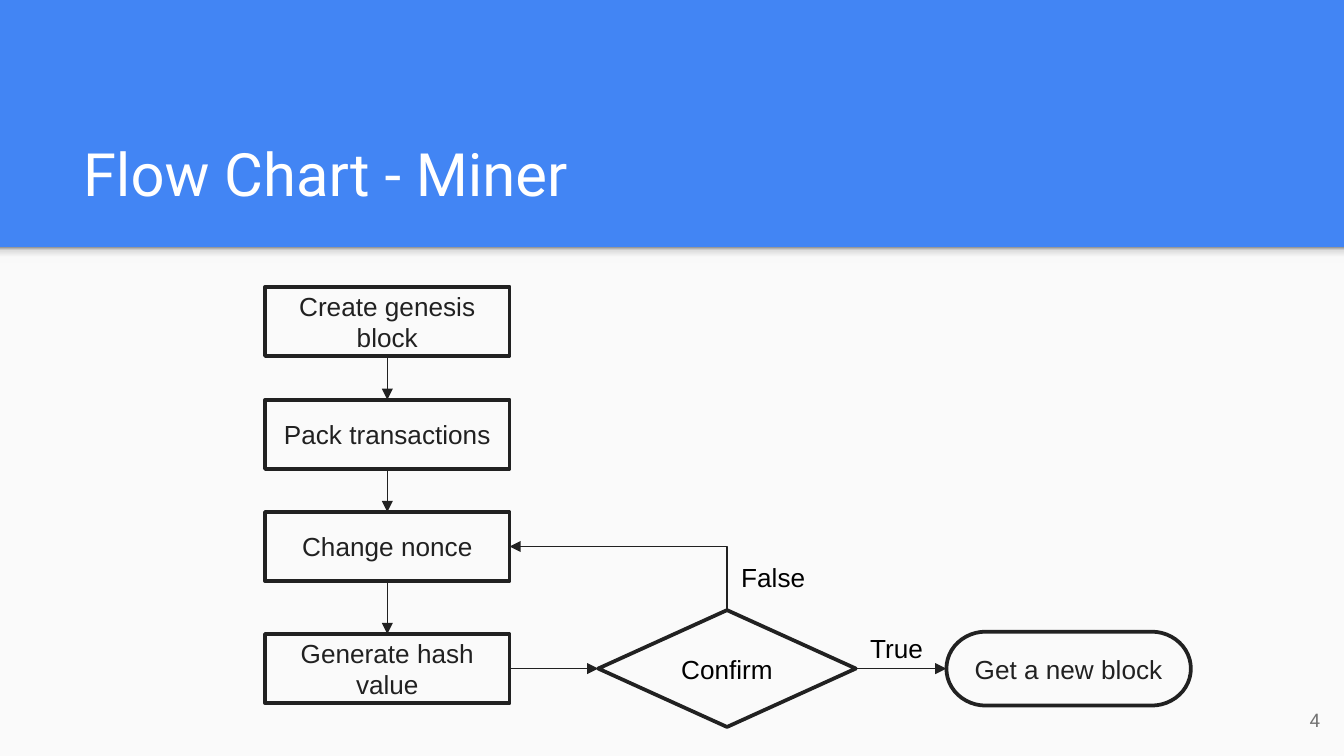
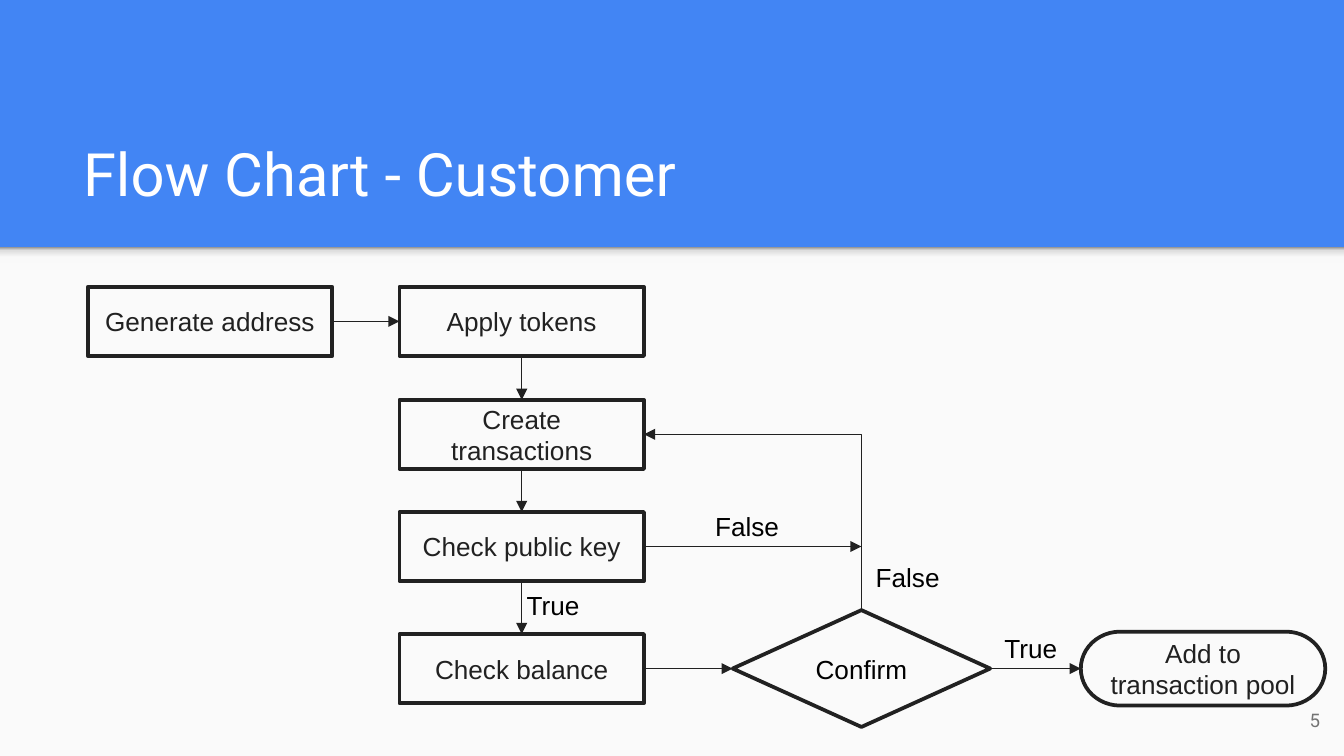
import lxml.etree
import pptx
import pptx.dml.color
import pptx.enum.shapes
import pptx.enum.text
import pptx.oxml.ns
import pptx.util

Pt = pptx.util.Pt
qn = pptx.oxml.ns.qn
PRESETS = pptx.enum.shapes.MSO_SHAPE
CONNECTORS = pptx.enum.shapes.MSO_CONNECTOR
ANCHORS = pptx.enum.text.MSO_ANCHOR
ALIGNMENTS = pptx.enum.text.PP_ALIGN

COLORS = {
    "blue": "4285F4",
    "paper": "FAFAFA",
    "ink": "212121",
    "black": "000000",
    "white": "FFFFFF",
    "gray": "737373",
}
SHADOW_STOPS = [(0, "F9F9F9"), (36, "F9F9F9"), (80, "DEDEDE"), (100, "999999")]

FLOWS = [
    {
        "title": "Flow Chart - Miner",
        "number": "4",
        "column": 142,
        "steps": ["Create genesis block", "Pack transactions", "Change nonce", "Generate hash value"],
        "entry": None,
        "result": "Get a new block",
        "retry_row": 2,
        "reject_row": None,
        "labels": [("True", 317, 335), ("False", 248, 297)],
    },
    {
        "title": "Flow Chart - Customer",
        "number": "5",
        "column": 214,
        "steps": ["Apply tokens", "Create transactions", "Check public key", "Check balance"],
        "entry": "Generate address",
        "result": "Add to transaction pool",
        "retry_row": 1,
        "reject_row": 2,
        "labels": [("True", 317, 335), ("False", 248, 297), ("False", 162, 270), ("True", 61, 312.5)],
    },
]

SLIDE_WIDTH, SLIDE_HEIGHT = 720, 405
PANEL_TOP = 132.5
ROW_TOPS = [153.7, 214.2, 274.3, 339.7]
STEP_SIZE = (131, 37)
DECISION_SIZE = (138, 62.6)
RESULT_SIZE = (131, 39.6)
ENTRY_OFFSET, DECISION_OFFSET, RESULT_OFFSET = -167, 178.5, 365
LABEL_SIZE = (54, 24.2)
TOP, LEFT, BOTTOM, RIGHT = range(4)

TEXT_FORMATS = {
    "title": {
        "frame": {"vertical_anchor": ANCHORS.BOTTOM, "margin_top": Pt(7.2), "margin_bottom": Pt(7.2)},
        "paragraph": {"alignment": ALIGNMENTS.LEFT},
        "font": {"size": Pt(32), "name": "Roboto"},
        "color": "white",
    },
    "number": {
        "frame": {"vertical_anchor": ANCHORS.MIDDLE, "margin_top": Pt(7.2), "margin_bottom": Pt(7.2)},
        "paragraph": {"alignment": ALIGNMENTS.RIGHT},
        "font": {"size": Pt(10), "name": "Roboto"},
        "color": "gray",
    },
    "step": {
        "frame": {"vertical_anchor": ANCHORS.MIDDLE},
        "paragraph": {"alignment": ALIGNMENTS.CENTER},
        "font": {"size": Pt(14), "name": "Arial"},
        "color": "ink",
    },
    "decision": {
        "frame": {"vertical_anchor": ANCHORS.MIDDLE},
        "paragraph": {"alignment": ALIGNMENTS.CENTER},
        "font": {"size": Pt(14), "name": "Arial"},
        "color": "black",
    },
    "label": {
        "frame": {"vertical_anchor": ANCHORS.TOP, "auto_size": pptx.enum.text.MSO_AUTO_SIZE.SHAPE_TO_FIT_TEXT},
        "paragraph": {"alignment": ALIGNMENTS.LEFT},
        "font": {"size": Pt(14), "name": "Arial"},
        "color": "black",
    },
}


def rgb(name):
    return pptx.dml.color.RGBColor.from_string(COLORS[name])


def apply(target, values):
    for name, value in values.items():
        setattr(target, name, value)


def write(shape, text, style):
    formats = TEXT_FORMATS[style]
    frame = shape.text_frame
    frame.word_wrap = True
    paragraph = frame.paragraphs[0]
    run = paragraph.add_run()
    run.text = text
    apply(frame, formats["frame"])
    apply(paragraph, formats["paragraph"])
    apply(run.font, formats["font"])
    run.font.color.rgb = rgb(formats["color"])


def add_text(slide, text, left, top, width, height, style):
    write(slide.shapes.add_textbox(Pt(left), Pt(top), Pt(width), Pt(height)), text, style)


def add_block(slide, preset, left, top, width, height):
    shape = slide.shapes.add_shape(preset, Pt(left), Pt(top), Pt(width), Pt(height))
    shape.shadow.inherit = False
    shape.fill.solid()
    shape.fill.fore_color.rgb = rgb("paper")
    shape.line.fill.background()
    return shape


def add_node(slide, preset, text, left, middle, size, style="step"):
    width, height = size
    shape = add_block(slide, preset, left, middle - height / 2, width, height)
    shape.line.color.rgb = rgb("ink")
    shape.line.width = Pt(2)
    write(shape, text, style)
    return shape


def add_arrow(slide, kind, source, source_site, target=None, target_site=None, end=(0, 0)):
    connector = slide.shapes.add_connector(kind, 0, 0, *end)
    connector.begin_connect(source, source_site)
    if target is not None:
        connector.end_connect(target, target_site)
    connector.line.color.rgb = rgb("ink")
    connector.line.width = Pt(0.75)
    line = connector.line._get_or_add_ln()
    lxml.etree.SubElement(line, qn("a:tailEnd"), type="triangle")
    lxml.etree.SubElement(connector.element.spPr, qn("a:effectLst"))
    return connector


def add_retry_arrow(slide, decision, step):
    connector = add_arrow(slide, CONNECTORS.ELBOW, decision, TOP, step, RIGHT)
    start_x, start_y = connector.begin_x, connector.begin_y
    end_x, end_y = connector.end_x, connector.end_y
    run, rise = start_x - end_x, start_y - end_y
    properties = connector.element.spPr
    transform = properties.find(qn("a:xfrm"))
    transform.attrib.clear()
    transform.set("rot", str(270 * 60000))
    transform.set("flipV", "1")
    apply(connector, {
        "left": (start_x + end_x - rise) // 2,
        "top": (start_y + end_y - run) // 2,
        "width": rise,
        "height": run,
    })
    properties.find(qn("a:prstGeom")).set("prst", "bentConnector2")


def add_frame(slide, title, number):
    slide.background.fill.solid()
    slide.background.fill.fore_color.rgb = rgb("blue")
    add_block(slide, PRESETS.RECTANGLE, 0, PANEL_TOP, SLIDE_WIDTH, SLIDE_HEIGHT - PANEL_TOP)
    shadow = add_block(slide, PRESETS.RECTANGLE, 0, PANEL_TOP, SLIDE_WIDTH, 8.6)
    shadow.fill.gradient()
    shadow.fill.gradient_angle = 90
    stops = shadow.element.spPr.find(qn("a:gradFill")).find(qn("a:gsLst"))
    stops.clear()
    for position, color in SHADOW_STOPS:
        stop = lxml.etree.SubElement(stops, qn("a:gs"), pos=str(position * 1000))
        lxml.etree.SubElement(stop, qn("a:srgbClr"), val=color)
    add_text(slide, title, 37.4, 58.3, 647.3, 60.5, "title")
    add_text(slide, number, 671, 370, 43.2, 31, "number")


def add_flow(slide, flow):
    column = flow["column"]
    middles = [top + STEP_SIZE[1] / 2 for top in ROW_TOPS]
    steps = [
        add_node(slide, PRESETS.FLOWCHART_PROCESS, text, column, middle, STEP_SIZE)
        for text, middle in zip(flow["steps"], middles)
    ]
    decision = add_node(slide, PRESETS.FLOWCHART_DECISION, "Confirm",
                        column + DECISION_OFFSET, middles[-1], DECISION_SIZE, "decision")
    result = add_node(slide, PRESETS.FLOWCHART_TERMINATOR, flow["result"],
                      column + RESULT_OFFSET, middles[-1], RESULT_SIZE)
    links = [(upper, BOTTOM, lower, TOP) for upper, lower in zip(steps, steps[1:])]
    links += [(steps[-1], RIGHT, decision, LEFT), (decision, RIGHT, result, LEFT)]
    if flow["entry"]:
        entry = add_node(slide, PRESETS.FLOWCHART_PROCESS, flow["entry"],
                         column + ENTRY_OFFSET, middles[0], STEP_SIZE)
        links.append((entry, RIGHT, steps[0], LEFT))
    for link in links:
        add_arrow(slide, CONNECTORS.STRAIGHT, *link)
    add_retry_arrow(slide, decision, steps[flow["retry_row"]])
    if flow["reject_row"] is not None:
        step = steps[flow["reject_row"]]
        end = (decision.left + decision.width // 2, step.top + step.height // 2)
        add_arrow(slide, CONNECTORS.STRAIGHT, step, RIGHT, end=end)
    for text, offset, top in flow["labels"]:
        add_text(slide, text, column + offset, top, *LABEL_SIZE, "label")


def main():
    presentation = pptx.Presentation()
    presentation.slide_width = Pt(SLIDE_WIDTH)
    presentation.slide_height = Pt(SLIDE_HEIGHT)
    for flow in FLOWS:
        slide = presentation.slides.add_slide(presentation.slide_layouts[6])
        add_frame(slide, flow["title"], flow["number"])
        add_flow(slide, flow)
    presentation.save("out.pptx")


if __name__ == "__main__":
    main()
